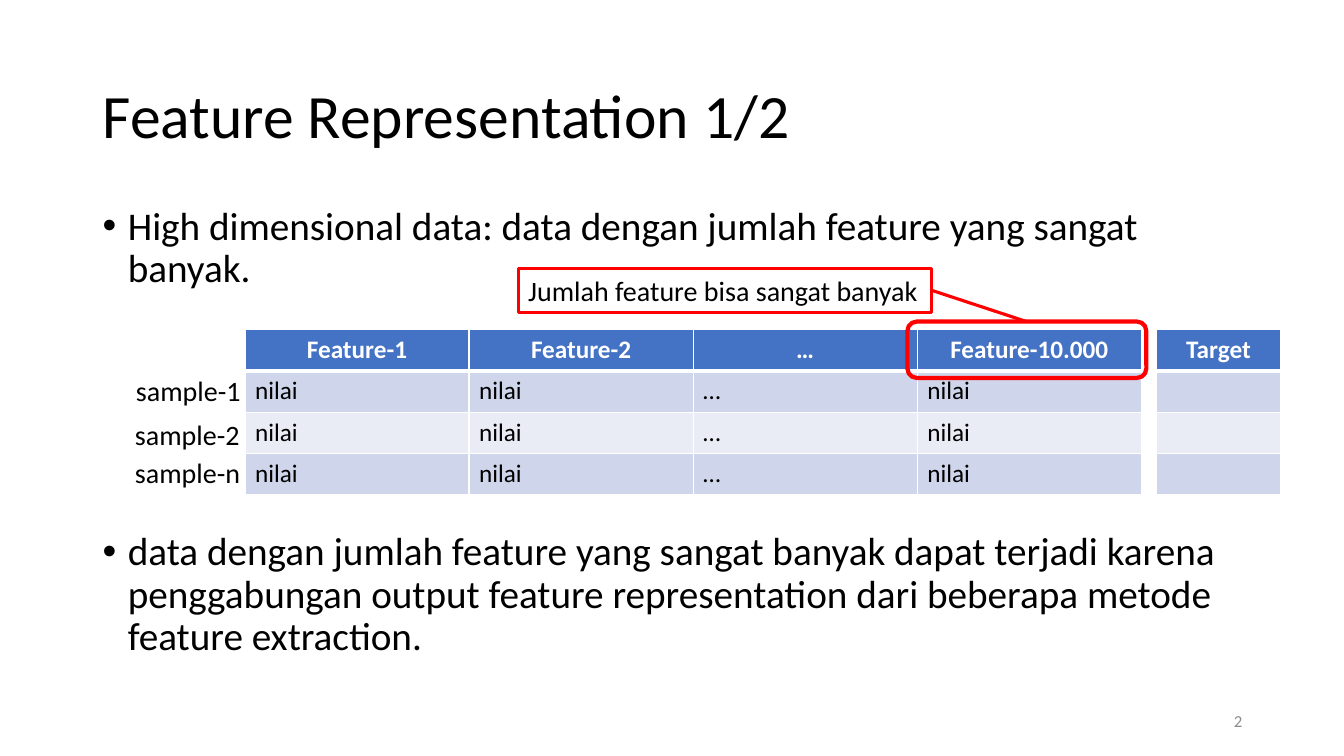
from typing import Any, NamedTuple

from lxml import etree
from pptx import Presentation
from pptx.dml.color import RGBColor
from pptx.enum.shapes import MSO_CONNECTOR, MSO_SHAPE
from pptx.enum.text import MSO_ANCHOR, PP_ALIGN
from pptx.oxml.ns import qn
from pptx.util import Inches, Pt

LEFT, CENTER, RIGHT = PP_ALIGN.LEFT, PP_ALIGN.CENTER, PP_ALIGN.RIGHT
TOP, MIDDLE = MSO_ANCHOR.TOP, MSO_ANCHOR.MIDDLE
STRAIGHT, ROUNDED = MSO_CONNECTOR.STRAIGHT, MSO_SHAPE.ROUNDED_RECTANGLE

BLACK = RGBColor(0x00, 0x00, 0x00)
WHITE = RGBColor(0xFF, 0xFF, 0xFF)
GRAY = RGBColor(0x8C, 0x8C, 0x8C)
RED = RGBColor(0xFF, 0x00, 0x00)
HEADER = RGBColor(0x44, 0x72, 0xC4)
BANDS = (RGBColor(0xCF, 0xD5, 0xEA), RGBColor(0xE9, 0xEB, 0xF5))
ROW_HEIGHT = 0.41


class Box(NamedTuple):
    left: float
    top: float
    width: float
    height: float


class Label(NamedTuple):
    box: Box
    text: str
    size: float = 20
    color: RGBColor = BLACK
    align: Any = LEFT
    anchor: Any = TOP
    wrap: bool = False
    outlined: bool = False


class Grid(NamedTuple):
    box: Box
    rows: list[list[str]]


class Bullet(NamedTuple):
    text: str
    space_before: float


LABELS = [
    Label(Box(0.92, 0.4, 11.5, 1.45), "Feature Representation 1/2", 44,
          anchor=MIDDLE, wrap=True),
    Label(Box(9.42, 6.95, 3, 0.4), "2", 12, GRAY, RIGHT, MIDDLE, True),
    Label(Box(5.14, 2.66, 4.1, 0.44), "Jumlah feature bisa sangat banyak", outlined=True),
    Label(Box(1.25, 3.66, 1.25, 0.44), "sample-1"),
    Label(Box(1.24, 4.09, 1.25, 0.44), "sample-2"),
    Label(Box(1.24, 4.47, 1.26, 0.44), "sample-n"),
]
GRIDS = [
    Grid(Box(2.43, 3.27, 8.89, 1.62),
         [["Feature-1", "Feature-2", "…", "Feature-10.000"]]
         + [["nilai", "nilai", "…", "nilai"]] * 3),
    Grid(Box(11.47, 3.27, 1.23, 1.62), [["Target"]] + [[""]] * 3),
]
BULLETS = [
    Bullet("High dimensional data: data dengan jumlah feature yang sangat banyak.", 10),
    # The large gap leaves room for the tables
    Bullet("data dengan jumlah feature yang sangat banyak dapat terjadi karena "
           "penggabungan output feature representation dari beberapa metode "
           "feature extraction.", 172),
]


def inches(values: tuple[float, ...]) -> list[Any]:
    return [Inches(v) for v in values]


def set_attrs(target: Any, values: dict[str, Any]) -> None:
    for name, value in values.items():
        setattr(target, name, value)


def add_run(p: Any, text: str, size: float, color: RGBColor, bold: bool = False) -> None:
    r = p.add_run()
    r.text = text
    set_attrs(r.font, {"name": "Calibri", "size": Pt(size), "bold": bold})
    r.font.color.rgb = color


def set_line(line: Any, width: float) -> None:
    line.color.rgb = RED
    line.width = Pt(width)


def add_label(s: Any, label: Label) -> None:
    sp = s.shapes.add_textbox(*inches(label.box))
    tf = sp.text_frame
    set_attrs(tf, {"word_wrap": label.wrap, "vertical_anchor": label.anchor})
    p = tf.paragraphs[0]
    p.alignment = label.align
    add_run(p, label.text, label.size, label.color)
    if label.outlined:
        set_line(sp.line, 2.25)


def add_bullets(s: Any, box: Box, bullets: list[Bullet]) -> None:
    tf = s.shapes.add_textbox(*inches(box)).text_frame
    tf.word_wrap = True
    for i, bullet in enumerate(bullets):
        p = tf.add_paragraph() if i else tf.paragraphs[0]
        set_attrs(p, {"line_spacing": 0.9, "space_before": Pt(bullet.space_before)})
        pPr = p._p.get_or_add_pPr()
        pPr.set("marL", str(Inches(0.25)))
        pPr.set("indent", str(Inches(-0.25)))
        etree.SubElement(pPr, qn("a:buFont")).set("typeface", "Arial")
        etree.SubElement(pPr, qn("a:buChar")).set("char", "•")
        add_run(p, bullet.text, 28, BLACK)


def set_borders(cell: Any, bottom: float) -> None:
    tcPr = cell._tc.get_or_add_tcPr()
    widths = {"a:lnL": 1, "a:lnR": 1, "a:lnT": 1, "a:lnB": bottom}
    for i, (tag, width) in enumerate(widths.items()):
        ln = etree.Element(qn(tag), w=str(Pt(width)))
        fill = etree.SubElement(ln, qn("a:solidFill"))
        etree.SubElement(fill, qn("a:srgbClr")).set("val", str(WHITE))
        tcPr.insert(i, ln)


def add_grid(s: Any, grid: Grid) -> None:
    columns = len(grid.rows[0])
    table = s.shapes.add_table(len(grid.rows), columns, *inches(grid.box)).table
    for column in table.columns:
        column.width = Inches(grid.box.width / columns)
    for i, texts in enumerate(grid.rows):
        header = i == 0
        table.rows[i].height = Inches(ROW_HEIGHT)
        for j, text in enumerate(texts):
            cell = table.cell(i, j)
            cell.fill.solid()
            cell.fill.fore_color.rgb = HEADER if header else BANDS[(i - 1) % 2]
            set_borders(cell, 3 if header else 1)
            p = cell.text_frame.paragraphs[0]
            p.alignment = CENTER if header else LEFT
            if text:
                add_run(p, text, 18, WHITE if header else BLACK, header)


def add_highlight(s: Any) -> None:
    sp = s.shapes.add_shape(ROUNDED, *inches(Box(9, 3.19, 2.37, 0.56)))
    sp.shadow.inherit = False
    sp.fill.background()
    set_line(sp.line, 3)
    link = s.shapes.add_connector(STRAIGHT, *inches((9.24, 2.88, 10.18, 3.19)))
    set_line(link.line, 2.25)
    etree.SubElement(link._element.spPr, qn("a:effectLst"))


def main() -> None:
    prs = Presentation()
    set_attrs(prs, {"slide_width": Inches(13.33), "slide_height": Inches(7.5)})
    s = prs.slides.add_slide(prs.slide_layouts[6])
    # Body text, then the tables on top of it
    add_bullets(s, Box(0.92, 2, 11.5, 5.35), BULLETS)
    for grid in GRIDS:
        add_grid(s, grid)
    # Marked header cell and all single-line texts
    add_highlight(s)
    for label in LABELS:
        add_label(s, label)
    prs.save("out.pptx")


if __name__ == "__main__":
    main()
